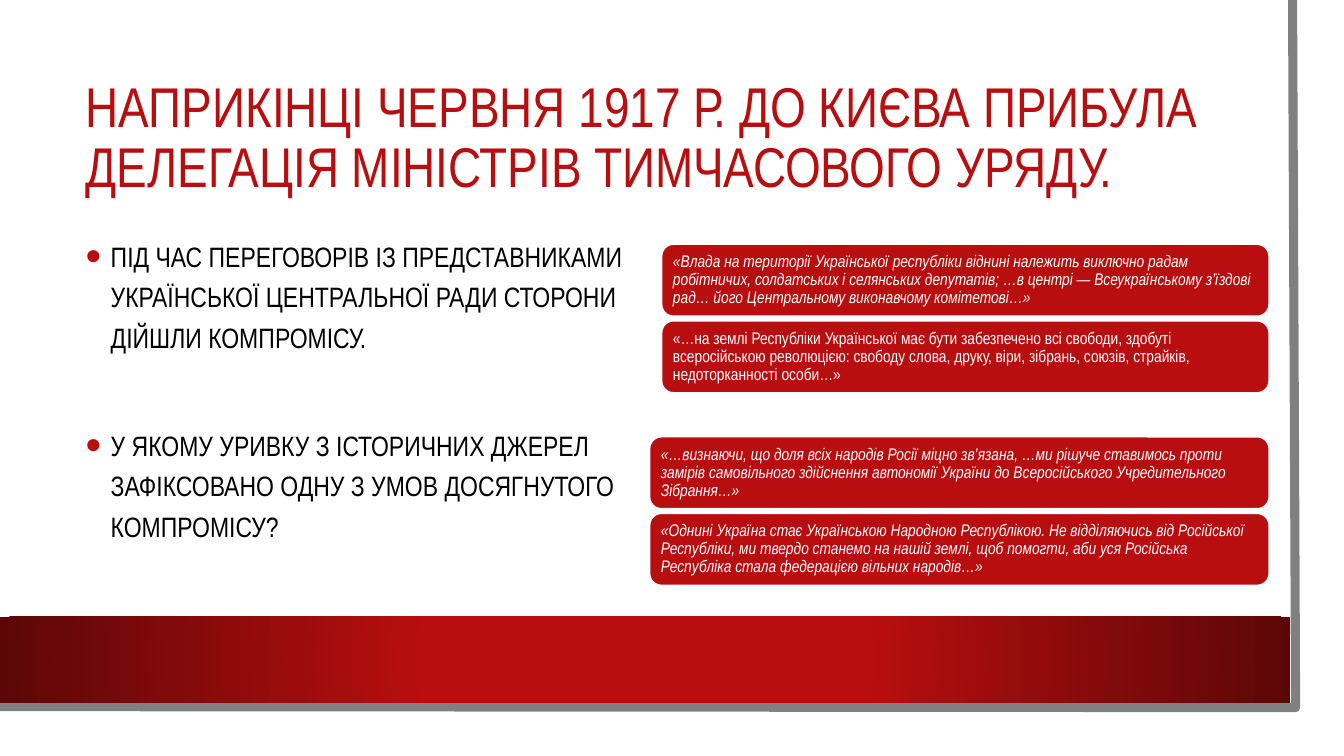
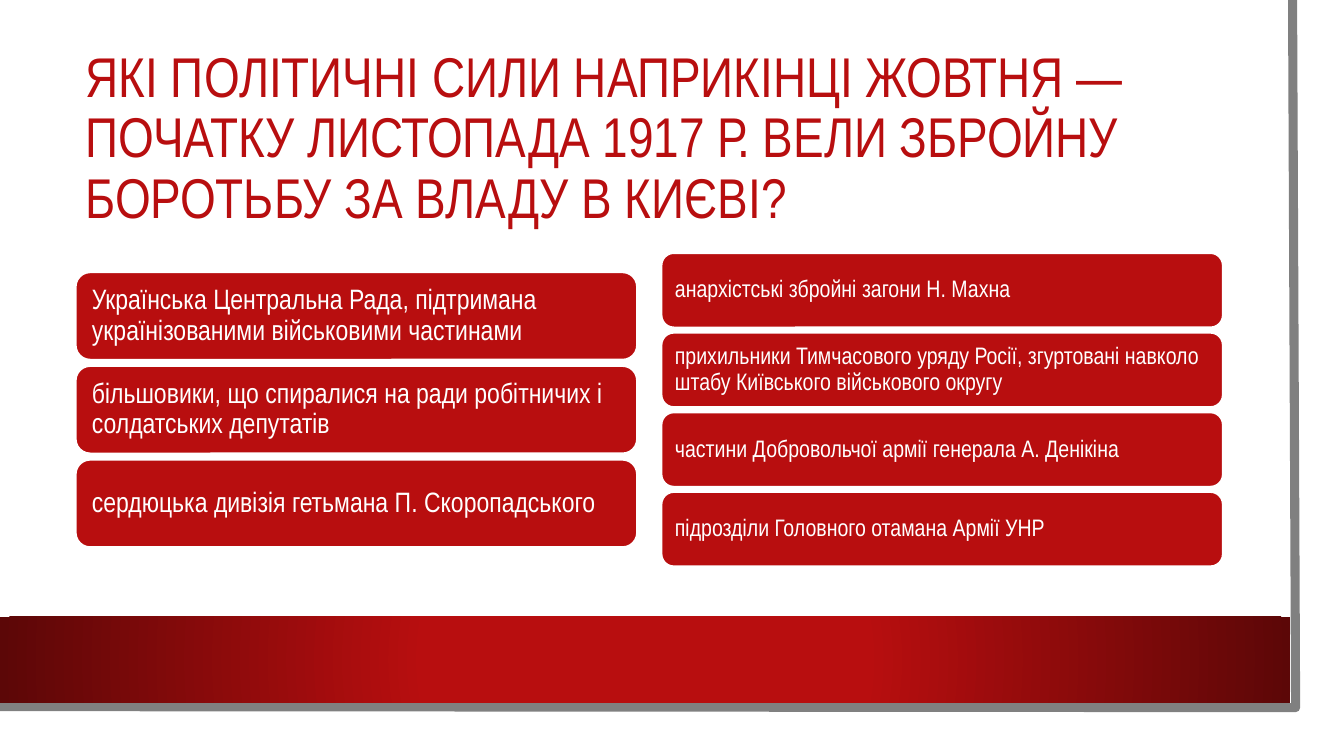
from lxml import etree
from pptx import Presentation
from pptx.dml.color import RGBColor
from pptx.enum.shapes import MSO_SHAPE
from pptx.enum.text import MSO_ANCHOR, MSO_AUTO_SIZE, PP_ALIGN
from pptx.oxml.ns import qn
from pptx.util import Inches, Pt

RECTANGLE = MSO_SHAPE.RECTANGLE
ROUNDED = MSO_SHAPE.ROUNDED_RECTANGLE
MIDDLE = MSO_ANCHOR.MIDDLE
NO_FIT = MSO_AUTO_SIZE.NONE
LEFT = PP_ALIGN.LEFT

RED = RGBColor(0xB8, 0x0E, 0x0F)
DARK_RED = RGBColor(0x5C, 0x07, 0x07)
GREY = RGBColor(0x80, 0x80, 0x80)
WHITE = RGBColor(0xFF, 0xFF, 0xFF)
BLACK = RGBColor(0, 0, 0)
FONT = "Arial Narrow"

TITLE_ONLY = 5
MARGIN = 0.75
RIGHT_COLUMN = 6.56
COLUMN_WIDTH = 5.57

DELEGATION_TITLE = "НАПРИКІНЦІ ЧЕРВНЯ 1917 Р. ДО КИЄВА ПРИБУЛА ДЕЛЕГАЦІЯ МІНІСТРІВ ТИМЧАСОВОГО УРЯДУ."
QUESTIONS = [
    "ПІД ЧАС ПЕРЕГОВОРІВ ІЗ ПРЕДСТАВНИКАМИ УКРАЇНСЬКОЇ ЦЕНТРАЛЬНОЇ РАДИ СТОРОНИ ДІЙШЛИ КОМПРОМІСУ.",
    "У ЯКОМУ УРИВКУ З ІСТОРИЧНИХ ДЖЕРЕЛ ЗАФІКСОВАНО ОДНУ З УМОВ ДОСЯГНУТОГО КОМПРОМІСУ?",
]
SOVIET_POWER = (
    "«Влада на території Української республіки віднині належить виключно радам робітничих, "
    "солдатських і селянських депутатів; …в центрі — Всеукраїнському з’їздові рад… "
    "його Центральному виконавчому комітетові…»"
)
FREEDOMS = (
    "«…на землі Республіки Української має бути забезпечено всі свободи, здобуті всеросійською "
    "революцією: свободу слова, друку, віри, зібрань, союзів, страйків, недоторканності особи…»"
)
AUTONOMY = (
    "«…визнаючи, що доля всіх народів Росії міцно зв’язана, …ми рішуче ставимось проти замірів "
    "самовільного здійснення автономії України до Всеросійського Учредительного Зібрання…»"
)
FEDERATION = (
    "«Однині Україна стає Українською Народною Республікою. Не відділяючись від Російської "
    "Республіки, ми твердо станемо на нашій землі, щоб помогти, аби уся Російська Республіка "
    "стала федерацією вільних народів…»"
)
FORCES_TITLE = (
    "ЯКІ ПОЛІТИЧНІ СИЛИ НАПРИКІНЦІ ЖОВТНЯ — ПОЧАТКУ ЛИСТОПАДА 1917 Р. "
    "ВЕЛИ ЗБРОЙНУ БОРОТЬБУ ЗА ВЛАДУ В КИЄВІ?"
)
LEFT_FORCES = [
    "Українська Центральна Рада, підтримана українізованими військовими частинами",
    "більшовики, що спиралися на ради робітничих і солдатських депутатів",
    "сердюцька дивізія гетьмана П. Скоропадського",
]
RIGHT_FORCES = [
    "анархістські збройні загони Н. Махна",
    "прихильники Тимчасового уряду Росії, згуртовані навколо штабу Київського військового округу",
    "частини Добровольчої армії генерала А. Денікіна",
    "підрозділи Головного отамана Армії УНР",
]


def write_text(paragraph, text, size, color, italic=False, spacing=0.9, before=0):
    """Fill a paragraph with formatted, left-aligned text."""
    paragraph.text = text
    paragraph.alignment = LEFT
    paragraph.line_spacing = spacing
    paragraph.space_before = Pt(before)
    font = paragraph.font
    font.name = FONT
    font.size = Pt(size)
    font.italic = italic
    font.color.rgb = color


def add_bullet(paragraph):
    """Give a paragraph a large red bullet with a hanging indent."""
    properties = paragraph._p.get_or_add_pPr()
    properties.set("marL", str(Inches(0.25)))
    properties.set("indent", str(-Inches(0.25)))
    bullet_color = etree.SubElement(properties, qn("a:buClr"))
    etree.SubElement(bullet_color, qn("a:srgbClr"), val=str(RED))
    etree.SubElement(properties, qn("a:buSzPct"), val="160000")
    etree.SubElement(properties, qn("a:buFont"), typeface="Arial")
    etree.SubElement(properties, qn("a:buChar"), char="•")


def add_frame(slide):
    """Draw the grey page edge and the red band."""
    outline = slide.shapes.build_freeform(Inches(12.82), 0)
    outline.add_line_segments(
        [(Inches(12.85), Inches(7.02)), (Inches(-0.03), Inches(7.01))], close=False
    )
    edge = outline.convert_to_shape()
    edge.shadow.inherit = False
    edge.fill.background()
    edge.line.color.rgb = GREY
    edge.line.width = Pt(6.5)

    band = slide.shapes.add_shape(RECTANGLE, 0, Inches(6.12), Inches(12.8), Inches(0.85))
    band.shadow.inherit = False
    band.line.fill.background()
    band.fill.gradient()
    stops = zip(band.fill.gradient_stops, (0.34, 1), (RED, DARK_RED))
    for stop, position, color in stops:
        stop.position = position
        stop.color.rgb = color
    gradient = band.element.spPr.find(qn("a:gradFill"))
    gradient.remove(gradient.find(qn("a:lin")))
    circle = etree.SubElement(gradient, qn("a:path"), path="circle")
    center = {side: "50000" for side in "ltrb"}
    etree.SubElement(circle, qn("a:fillToRect"), center)


def add_titled_slide(presentation, text):
    """Add a slide with the shared frame and title style."""
    slide = presentation.slides.add_slide(presentation.slide_layouts[TITLE_ONLY])
    add_frame(slide)
    title = slide.shapes.title
    title.left, title.top = Inches(MARGIN), Inches(0.75)
    title.width, title.height = Inches(11.37), Inches(1.27)
    title.text_frame.auto_size = NO_FIT
    title.text_frame.vertical_anchor = MIDDLE
    write_text(title.text_frame.paragraphs[0], text, size=40, color=RED)
    return slide


def add_questions(slide, questions):
    """Add the bulleted text of the left column."""
    box = slide.shapes.add_textbox(
        Inches(MARGIN), Inches(2.26), Inches(COLUMN_WIDTH), Inches(3.62)
    )
    frame = box.text_frame
    frame.word_wrap = True
    for index, question in enumerate(questions):
        paragraph = frame.add_paragraph() if index else frame.paragraphs[0]
        add_bullet(paragraph)
        write_text(paragraph, question, size=20, color=BLACK, spacing=1.2,
                   before=48.6 if index else 0)


def add_card(slide, text, left, top, width, height, inset, size, italic):
    """Add one red rounded card with white text."""
    card = slide.shapes.add_shape(
        ROUNDED, Inches(left), Inches(top), Inches(width), Inches(height)
    )
    card.shadow.inherit = False
    card.fill.solid()
    card.fill.fore_color.rgb = RED
    card.line.color.rgb = WHITE
    card.line.width = Pt(1.5)
    frame = card.text_frame
    frame.word_wrap = True
    frame.vertical_anchor = MIDDLE
    frame.margin_left = frame.margin_right = Inches(inset)
    frame.margin_top = frame.margin_bottom = Inches(inset)
    write_text(frame.paragraphs[0], text, size=size, color=WHITE, italic=italic)


def add_card_stack(slide, texts, left, top, width, height, gap, inset, size, upright=()):
    """Stack equal cards; texts listed in upright are set without italics."""
    for index, text in enumerate(texts):
        add_card(slide, text, left, top + index * (height + gap), width, height,
                 inset, size, italic=text not in upright)


def main():
    """Build and save the presentation."""
    presentation = Presentation()
    presentation.slide_width = Inches(13.33)
    presentation.slide_height = Inches(7.5)

    delegation = add_titled_slide(presentation, DELEGATION_TITLE)
    add_questions(delegation, QUESTIONS)
    quote_style = {"height": 0.72, "gap": 0.04, "inset": 0.08, "size": 12}
    add_card_stack(delegation, [AUTONOMY, FEDERATION], left=6.44, top=4.33, width=6.15,
                   **quote_style)
    add_card_stack(delegation, [SOVIET_POWER, FREEDOMS], left=RIGHT_COLUMN, top=2.42,
                   width=6.03, upright=[FREEDOMS], **quote_style)

    forces = add_titled_slide(presentation, FORCES_TITLE)
    add_card_stack(forces, LEFT_FORCES, left=MARGIN, top=2.7, width=COLUMN_WIDTH,
                   height=0.87, gap=0.06, inset=0.12, size=20, upright=LEFT_FORCES)
    add_card_stack(forces, RIGHT_FORCES, left=RIGHT_COLUMN, top=2.51, width=COLUMN_WIDTH,
                   height=0.74, gap=0.05, inset=0.1, size=17, upright=RIGHT_FORCES)

    presentation.save("out.pptx")


if __name__ == "__main__":
    main()
